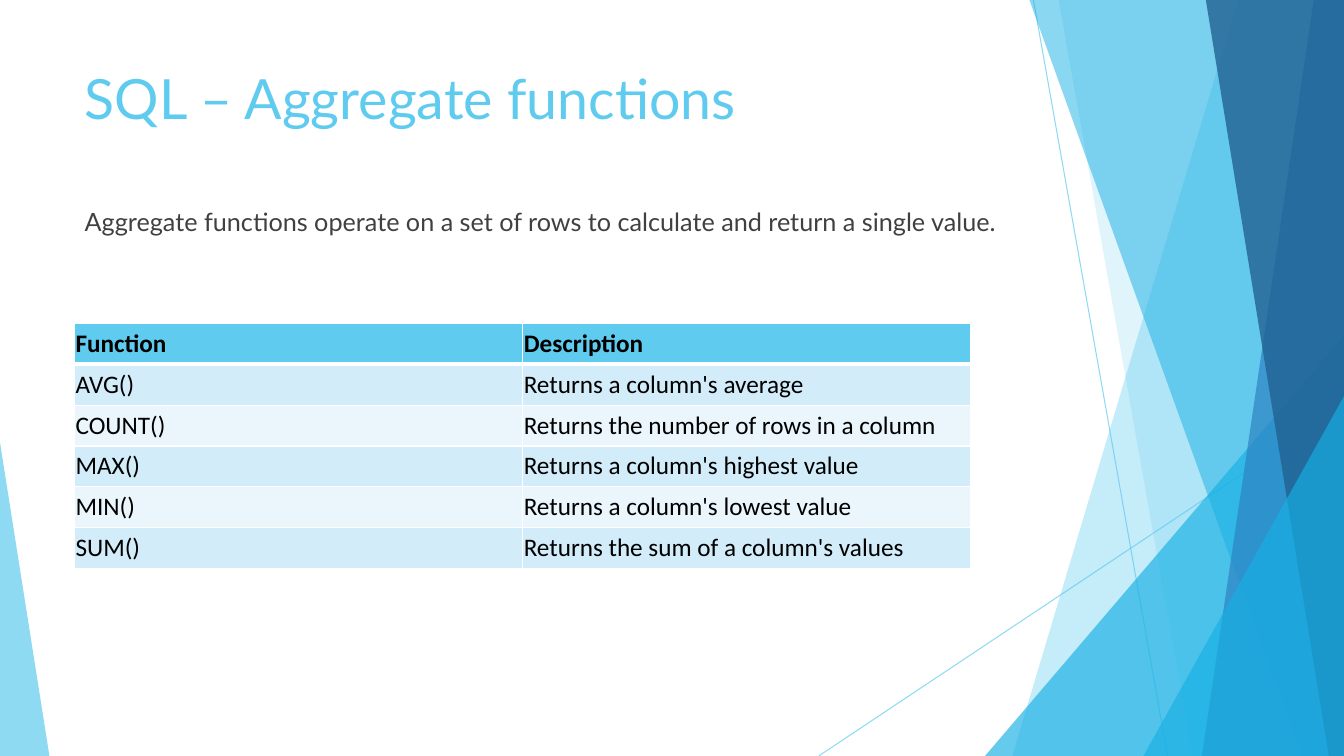
from lxml import etree
from pptx import Presentation
from pptx.dml.color import RGBColor
from pptx.enum.shapes import MSO_CONNECTOR, MSO_SHAPE
from pptx.enum.text import MSO_ANCHOR, MSO_AUTO_SIZE, PP_ALIGN
from pptx.oxml.ns import qn
from pptx.util import Pt

PX = 9144
WIDE, HIGH = 1333, 750
LINE = MSO_CONNECTOR.STRAIGHT
WEDGE = MSO_SHAPE.ISOSCELES_TRIANGLE
MIDDLE, BOTTOM = MSO_ANCHOR.MIDDLE, MSO_ANCHOR.BOTTOM
LEFT = PP_ALIGN.LEFT
FIXED = MSO_AUTO_SIZE.NONE

SKY = RGBColor(0x5F, 0xCB, 0xEF)
AQUA = RGBColor(0x17, 0xB0, 0xE4)
BLUE = RGBColor(0x2E, 0x83, 0xC3)
NAVY = RGBColor(0x22, 0x62, 0x92)
PALE = RGBColor(0xD2, 0xEC, 0xF9)
MIST = RGBColor(0xEA, 0xF6, 0xFC)
GREY = RGBColor(0x40, 0x40, 0x40)
BLACK = RGBColor(0, 0, 0)
WHITE = RGBColor(0xFF, 0xFF, 0xFF)

ROWS = [
    ("Function", "Description"),
    ("AVG()", "Returns a column's average"),
    ("COUNT()", "Returns the number of rows in a column"),
    ("MAX()", "Returns a column's highest value"),
    ("MIN()", "Returns a column's lowest value"),
    ("SUM()", "Returns the sum of a column's values"),
]


def px(*nums):
    """Turn px lengths into EMU."""
    return [n * PX for n in nums]


def fade(shape, alpha):
    """Set the opacity of a shape's colours in percent."""
    for tint in shape.element.iter(qn("a:srgbClr")):
        etree.SubElement(tint, qn("a:alpha"), val=str(alpha * 1000))


def paint(shape, color, alpha):
    """Give a shape a clear flat fill with no outline or shadow."""
    shape.shadow.inherit = False
    shape.line.fill.background()
    shape.fill.solid()
    shape.fill.fore_color.rgb = color
    fade(shape, alpha)


def add_ray(shapes, box, start, end):
    """Draw a thin ray between two points of the box."""
    x, y = box[:2]
    ray = shapes.add_connector(LINE, *px(x + start[0], y + start[1], x + end[0], y + end[1]))
    ray.line.width = Pt(0.75)
    ray.line.color.rgb = SKY
    fade(ray, 70)
    etree.SubElement(ray.element.spPr, qn("a:effectLst"))


def add_slab(shapes, box, top, foot, color, alpha):
    """Fill the box from a slanted left edge to its right side."""
    x, y, w, h = box
    pen = shapes.build_freeform(*px(x + top, y))
    pen.add_line_segments([px(x + w, y), px(x + w, y + h), px(x + foot, y + h)])
    paint(pen.convert_to_shape(), color, alpha)


def add_wedge(shapes, box, left, wide, high, tip, color, alpha):
    """Stand a right-angled wedge on the floor of the box."""
    x, y, _, h = box
    wedge = shapes.add_shape(WEDGE, *px(x + left, y + h - high, wide, high))
    wedge.adjustments[0] = tip
    paint(wedge, color, alpha)


def add_decor(shapes, box):
    """Layer the rays, slabs and wedges, from back to front."""
    add_ray(shapes, box, (1025, 0), (1158, 750))
    add_ray(shapes, box, (1333, 403), (812, 750))
    add_slab(shapes, box, 1228, 1004, SKY, 36)
    add_slab(shapes, box, 1050, 1183, SKY, 20)
    add_wedge(shapes, box, 977, 356, 417, 1, AQUA, 66)
    add_slab(shapes, box, 1021, 1291, AQUA, 50)
    add_slab(shapes, box, 1303, 1192, BLUE, 70)
    add_slab(shapes, box, 1196, 1318, NAVY, 80)
    add_wedge(shapes, box, 1134, 199, 357, 1, AQUA, 66)
    add_wedge(shapes, box, 0, 49, 311, 0, SKY, 70)


def add_run(para, text, font, size, color, bold=False):
    """Add one formatted run to a paragraph."""
    run = para.add_run()
    run.text = text
    run.font.name = font
    run.font.size = Pt(size)
    run.font.color.rgb = color
    run.font.bold = bold


def fill_text(slide, holder, box, text, size, color, gap=0):
    """Move a placeholder to the box, bring it forward and write its text."""
    slide.shapes.element.append(holder.element)
    holder.left, holder.top, holder.width, holder.height = px(*box)
    frame = holder.text_frame
    frame.word_wrap = True
    frame.auto_size = FIXED
    frame.vertical_anchor = MIDDLE
    para = frame.paragraphs[0]
    para.alignment = LEFT
    para.space_before = Pt(gap)
    props = para._p.get_or_add_pPr()
    props.set("marL", "0")
    props.set("indent", "0")
    etree.SubElement(props, qn("a:buNone"))
    add_run(para, text, "Lato", size, color)


def edge_cell(cell, row):
    """Draw white cell borders, thick under the header."""
    props = cell._tc.get_or_add_tcPr()
    sides = {"L": 1, "R": 1, "T": 3 if row == 1 else 1, "B": 3 if row == 0 else 1}
    for side, width in sides.items():
        edge = etree.SubElement(props, qn(f"a:ln{side}"), w=str(Pt(width)))
        fill = etree.SubElement(edge, qn("a:solidFill"))
        etree.SubElement(fill, qn("a:srgbClr"), val=str(WHITE))


def add_grid(shapes, box):
    """Fill the box with the banded table of functions."""
    grid = shapes.add_table(len(ROWS), len(ROWS[0]), *px(*box)).table
    for r, texts in enumerate(ROWS):
        for c, text in enumerate(texts):
            cell = grid.cell(r, c)
            edge_cell(cell, r)
            cell.fill.solid()
            cell.fill.fore_color.rgb = SKY if r == 0 else (MIST, PALE)[r % 2]
            cell.margin_left, cell.margin_right, cell.margin_top, cell.margin_bottom = px(1, 1, 1, 5)
            cell.vertical_anchor = BOTTOM
            add_run(cell.text_frame.paragraphs[0], text, "Calibri", 18, BLACK, r == 0)


def main():
    """Build and save the slide."""
    deck = Presentation()
    deck.slide_width, deck.slide_height = px(WIDE, HIGH)
    slide = deck.slides.add_slide(deck.slide_layouts[1])
    title, body = slide.placeholders
    add_decor(slide.shapes, (0, 0, WIDE, HIGH))
    fill_text(slide, title, (74, 67, 940, 59), "SQL – Aggregate functions", 39.6, SKY)
    fill_text(slide, body, (74, 142, 940, 155),
              "Aggregate functions operate on a set of rows to calculate and return a single value.",
              18, GREY, 10)
    add_grid(slide.shapes, (74, 321, 889, 243))
    deck.save("out.pptx")


if __name__ == "__main__":
    main()
